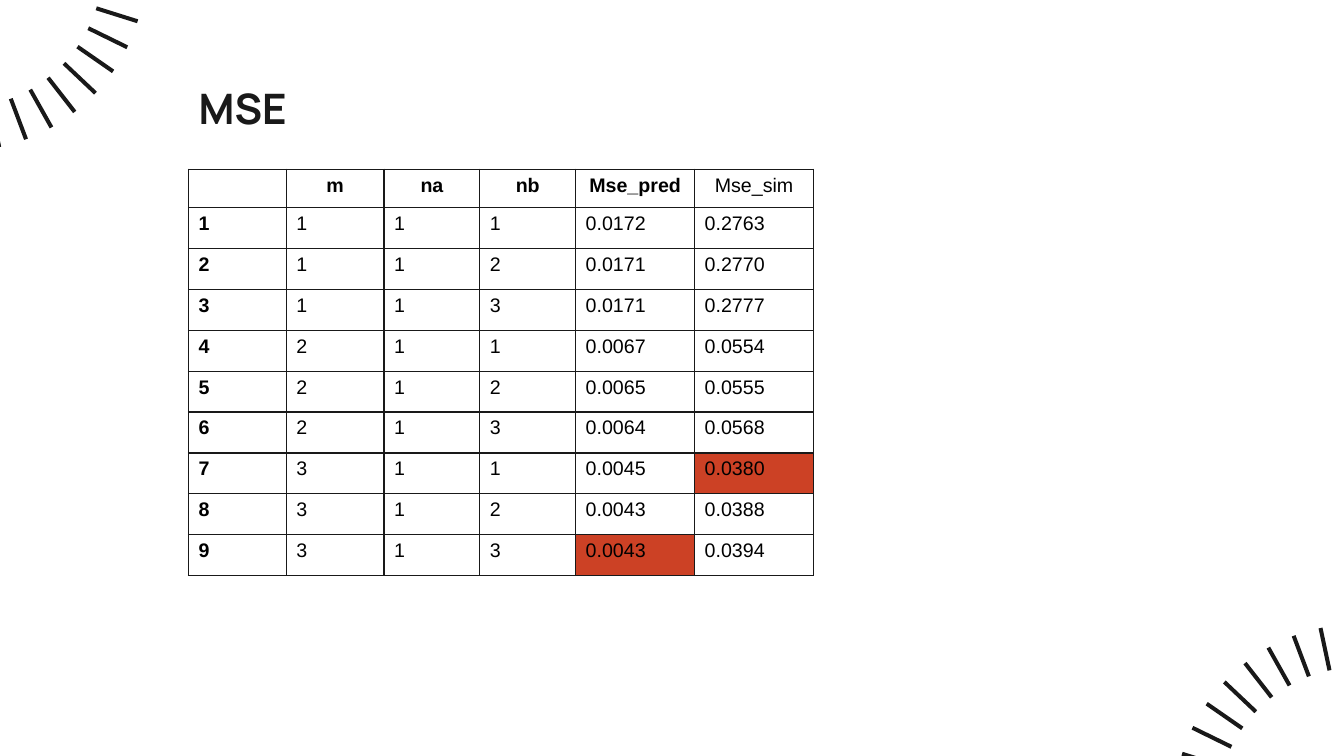
from math import cos, radians, sin

from lxml.etree import SubElement
from pptx import Presentation
from pptx.dml.color import RGBColor
from pptx.enum.text import MSO_ANCHOR, MSO_AUTO_SIZE, PP_ALIGN
from pptx.oxml.ns import qn
from pptx.util import Inches, Pt

INK = RGBColor(0x19, 0x19, 0x19)
BLACK = RGBColor(0x00, 0x00, 0x00)
WHITE = RGBColor(0xFF, 0xFF, 0xFF)
RED = RGBColor(0xCC, 0x41, 0x25)

HEADS = ["", "m", "na", "nb", "Mse_pred", "Mse_sim"]
WIDTHS = [0.97, 0.97, 0.95, 0.95, 1.18, 1.18]
PREDS = ["0.0172", "0.0171", "0.0171", "0.0067", "0.0065",
         "0.0064", "0.0045", "0.0043", "0.0043"]
SIMS = ["0.2763", "0.2770", "0.2777", "0.0554", "0.0555",
        "0.0568", "0.0380", "0.0388", "0.0394"]
BEST = {(9, 4), (7, 5)}  # row and column of the lowest errors


def add_text(para, text, size, font, color, bold):
    run = para.add_run()
    run.text = text
    run.font.size = Pt(size)
    run.font.name = font
    run.font.color.rgb = color
    run.font.bold = bold


def add_ray(slide, hub, angle):
    """Draw one thin bar that points away from the hub."""
    dx, dy = cos(radians(angle)), sin(radians(angle))
    near, far, half = 1.41, 1.84, 0.02
    ends = [(near, -half), (far, -half), (far, half), (near, half)]
    points = [(Inches(hub[0] + r * dx - s * dy),
               Inches(hub[1] + r * dy + s * dx)) for r, s in ends]
    pen = slide.shapes.build_freeform(*points[0])
    pen.add_line_segments(points[1:], close=True)
    ray = pen.convert_to_shape()
    ray.shadow.inherit = False
    ray.fill.solid()
    ray.fill.fore_color.rgb = INK
    ray.line.fill.background()


def add_fan(slide, hub, start):
    for i in range(8):
        add_ray(slide, hub, start - i * 8.65)


def set_title(slide, text):
    title = slide.shapes.title
    title.left, title.top = Inches(1.87), Inches(0.72)
    title.width, title.height = Inches(2.16), Inches(0.84)
    frame = title.text_frame
    frame.word_wrap = True
    frame.auto_size = MSO_AUTO_SIZE.NONE
    frame.vertical_anchor = MSO_ANCHOR.TOP
    frame.margin_left = frame.margin_right = Inches(0.1)
    frame.margin_top = frame.margin_bottom = Inches(0.1)
    para = frame.paragraphs[0]
    para.alignment = PP_ALIGN.LEFT
    add_text(para, text, 30, "Manrope", INK, True)


def set_edges(cell):
    props = cell._tc.get_or_add_tcPr()
    for i, side in enumerate(("a:lnL", "a:lnR", "a:lnT", "a:lnB")):
        line = SubElement(props, qn(side), w=str(Pt(1)))
        fill = SubElement(line, qn("a:solidFill"))
        SubElement(fill, qn("a:srgbClr"), val=str(INK))
        props.insert(i, line)


def fill_cell(cell, text, color, bold, align):
    cell.margin_left = cell.margin_right = Inches(0.1)
    cell.margin_top = cell.margin_bottom = Inches(0.05)
    cell.fill.solid()
    cell.fill.fore_color.rgb = color
    set_edges(cell)
    para = cell.text_frame.paragraphs[0]
    para.alignment = align
    add_text(para, text, 14, "Arial", BLACK, bold)


def add_grid(slide, rows):
    high, body = Inches(0.38), Inches(3.65)
    grid = slide.shapes.add_table(
        len(rows), len(HEADS), Inches(1.87), Inches(1.68),
        Inches(sum(WIDTHS)), high + body).table
    for col, width in zip(grid.columns, WIDTHS):
        col.width = Inches(width)
    for r, row in enumerate(rows):
        grid.rows[r].height = body // (len(rows) - 1) if r else high
        for c, text in enumerate(row):
            bold = c == 0 if r else text != "Mse_sim"
            align = PP_ALIGN.LEFT if r else PP_ALIGN.CENTER
            color = RED if (r, c) in BEST else WHITE
            fill_cell(grid.cell(r, c), text, color, bold, align)


def main():
    deck = Presentation()
    deck.slide_width, deck.slide_height = Inches(13.33), Inches(7.5)
    slide = deck.slides.add_slide(deck.slide_layouts[5])

    # Corner fans, each the other turned by half
    add_fan(slide, (-0.39, -0.34), 78)
    add_fan(slide, (13.48, 8.03), 258)

    set_title(slide, "MSE")

    # Errors for each m and nb, with na fixed at 1
    rows = [HEADS]
    for i, (pred, sim) in enumerate(zip(PREDS, SIMS)):
        rows.append([str(i + 1), str(i // 3 + 1), "1", str(i % 3 + 1),
                     pred, sim])
    add_grid(slide, rows)

    deck.save("out.pptx")


if __name__ == "__main__":
    main()
